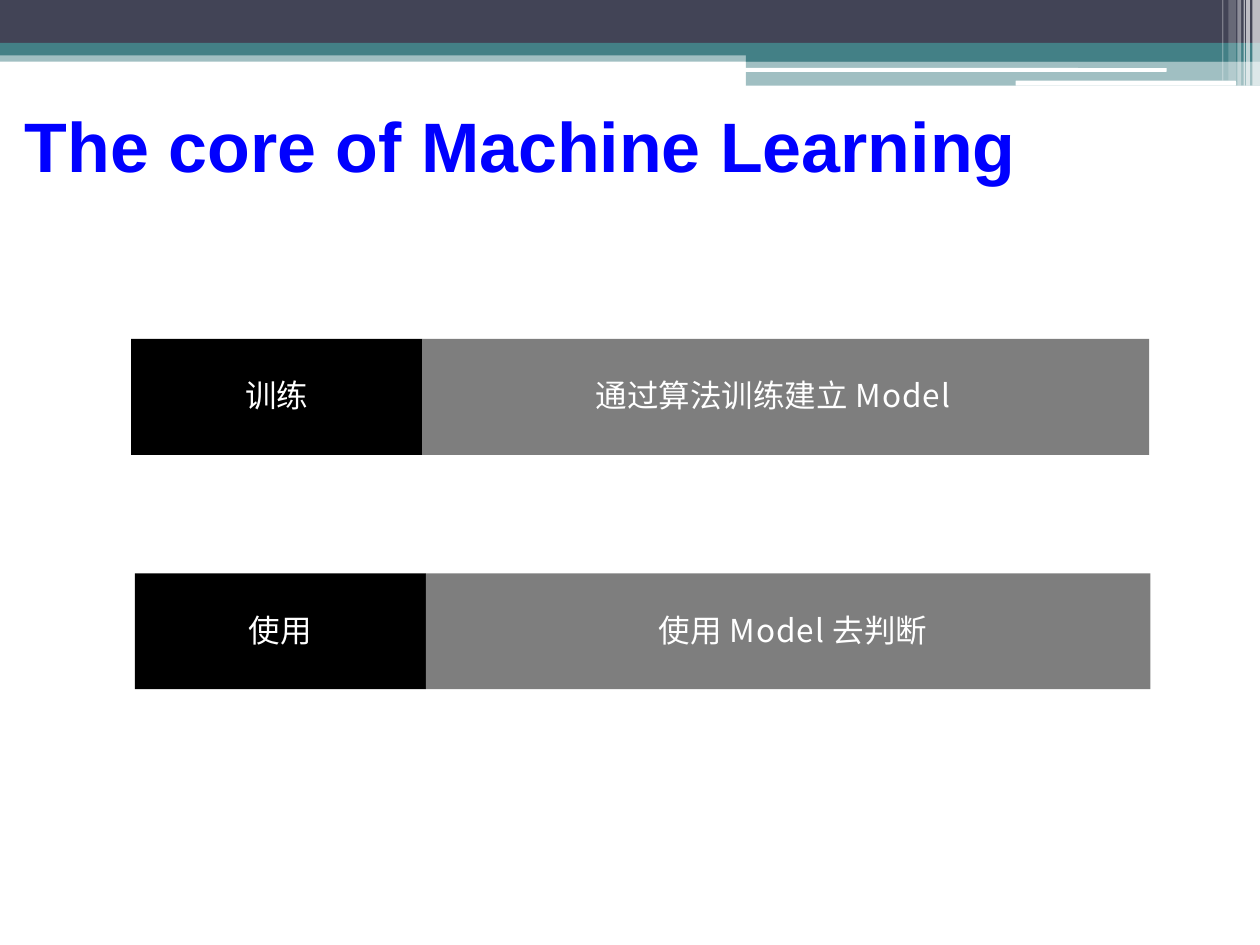
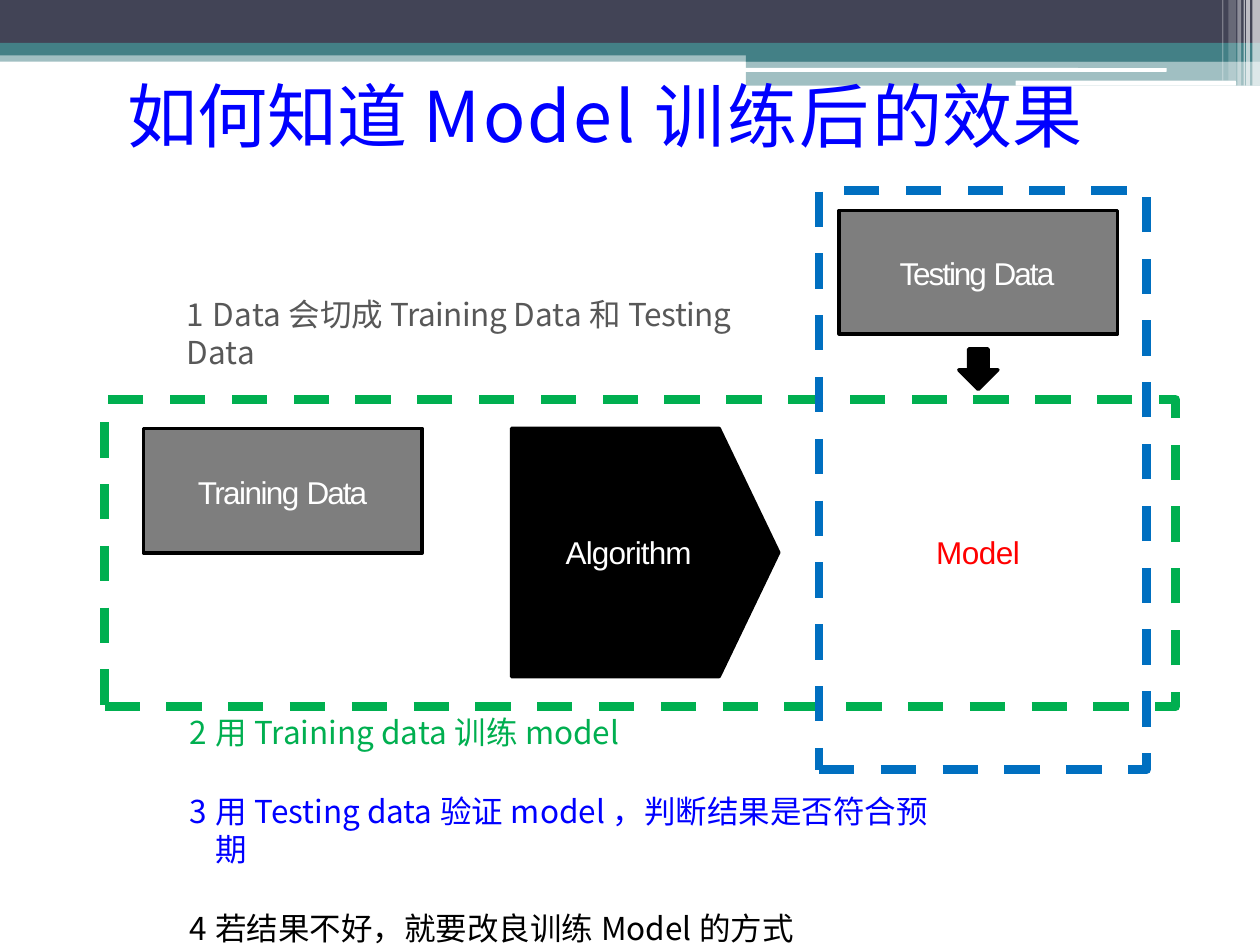
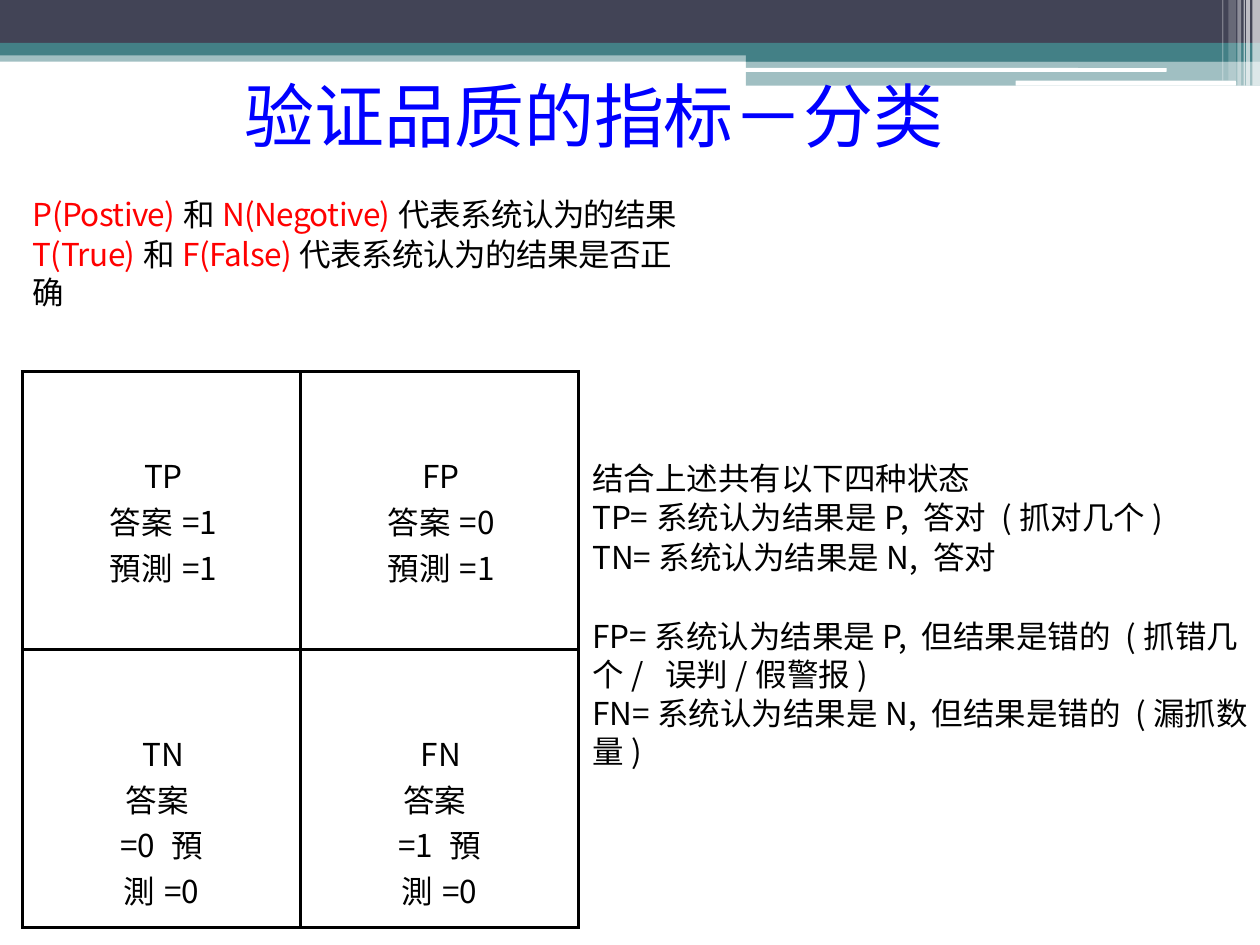
from dataclasses import dataclass, field
from typing import Any, NamedTuple

from lxml.etree import SubElement
from pptx import Presentation
from pptx.dml.color import RGBColor
from pptx.enum.dml import MSO_LINE
from pptx.enum.shapes import MSO_SHAPE
from pptx.enum.text import MSO_ANCHOR, PP_ALIGN
from pptx.oxml.ns import qn
from pptx.util import Emu, Pt


@dataclass(frozen=True)
class Theme:
    navy: str = "424456"
    teal: str = "438086"
    white: str = "FFFFFF"
    black: str = "000000"
    gray: str = "7E7E7E"
    dim: str = "585858"
    blue: str = "0000FF"
    red: str = "FF0000"
    green: str = "00AF50"
    azure: str = "006FC0"
    latin: str = "Arial"
    hans: str = "Noto Sans CJK SC"
    cjk: str = "Noto Sans CJK JP"
    head: float = 40
    body: float = 18
    lead: float = 21.6
    edge: float = 2.04
    dash: float = 5.04
    rule: float = 2.25


T = Theme()
PX = 9144  # 100 px to the inch


class Box(NamedTuple):
    x: int
    y: int
    w: int
    h: int

    def emu(self) -> list[Emu]:
        return [px(side) for side in self]


class Band(NamedTuple):
    box: Box
    color: str
    alpha: int = 100
    kind: Any = MSO_SHAPE.RECTANGLE


class Run(NamedTuple):
    text: str
    color: str = T.black
    gap: float = 0


@dataclass(frozen=True)
class Para:
    runs: list[Run]
    form: dict[str, Any] = field(default_factory=dict)
    props: dict[str, int] = field(default_factory=dict)
    tab: int = 0
    start: int = 0


@dataclass(frozen=True)
class Type:
    """Font, size and frame settings of one block of text."""
    font: str = T.cjk
    size: float = T.body
    bold: bool = False
    inset: tuple[int, int, int, int] = (1, 2, 0, 0)
    anchor: Any = MSO_ANCHOR.TOP


class Bar(NamedTuple):
    box: Box
    fill: str
    font: str
    runs: list[Run]
    left: int = 0


class Data(NamedTuple):
    box: Box
    runs: list[Run]
    left: int


BANDS = [
    Band(Box(0, 40, 1000, 9), T.teal, 50),
    Band(Box(0, 0, 1000, 34), T.navy),
    Band(Box(0, 34, 1000, 10), T.teal),
    Band(Box(592, 39, 408, 10), T.teal),
    Band(Box(592, 48, 408, 20), T.teal, 50),
    Band(Box(591, 54, 335, 3), T.white, kind=MSO_SHAPE.ROUNDED_RECTANGLE),
    Band(Box(806, 64, 175, 4), T.white, kind=MSO_SHAPE.ROUNDED_RECTANGLE),
] + [
    Band(Box(x, 0, w, h), T.white, alpha)
    for x, w, h, alpha in [
        (994, 6, 68, 65), (989, 3, 68, 65), (987, 1, 68, 60),
        (982, 3, 68, 40), (975, 6, 64, 20), (970, 1, 64, 30),
    ]
]
TITLE = Type(T.hans, T.head, inset=(1, 1, 0, 0), anchor=MSO_ANCHOR.MIDDLE)
LABEL = Type(T.latin)
CENTER = {"alignment": PP_ALIGN.CENTER}


def px(n: int) -> Emu:
    return Emu(n * PX)


def rgb(code: str) -> RGBColor:
    return RGBColor.from_string(code)


def apply(item: Any, values: dict[str, Any]) -> None:
    for name, value in values.items():
        setattr(item, name, value)


def lines(*rows: list[Run], gap: dict[int, float] | None = None, **more: Any) -> list[Para]:
    """Body paragraphs; gap gives the rows that need more space above."""
    return [
        Para(row, {"line_spacing": Pt(T.lead),
                   "space_before": Pt((gap or {}).get(i, 1 if i else 0))}, **more)
        for i, row in enumerate(rows)
    ]


def write(frame: Any, paras: list[Para], style: Type) -> None:
    for i, spec in enumerate(paras):
        para = frame.paragraphs[0] if i == 0 else frame.add_paragraph()
        apply(para, spec.form)
        props = para._p.get_or_add_pPr()
        for name, value in spec.props.items():
            props.set(name, str(px(value)))
        if spec.start:
            SubElement(props, qn("a:buAutoNum"), type="arabicPlain", startAt=str(spec.start))
        if spec.tab:
            tabs = SubElement(props, qn("a:tabLst"))
            SubElement(tabs, qn("a:tab"), pos=str(px(spec.tab)), algn="l")
        for part in spec.runs:
            run = para.add_run()
            run.text = part.text
            apply(run.font, {"name": style.font, "size": Pt(style.size), "bold": style.bold})
            run.font.color.rgb = rgb(part.color)
            mark = run.font._element
            SubElement(mark, qn("a:ea"), typeface=style.font)
            if part.gap:
                mark.set("spc", str(round(part.gap * 100)))


def fit(frame: Any, paras: list[Para], style: Type) -> None:
    left, top, right, bottom = map(px, style.inset)
    apply(frame, {"word_wrap": True, "vertical_anchor": style.anchor, "margin_left": left,
                  "margin_top": top, "margin_right": right, "margin_bottom": bottom})
    write(frame, paras, style)


def text(slide: Any, box: Box, paras: list[Para], style: Type = Type()) -> None:
    fit(slide.shapes.add_textbox(*box.emu()).text_frame, paras, style)


def block(slide: Any, box: Box, fill: str, kind: Any = MSO_SHAPE.RECTANGLE,
          edge: bool = False) -> Any:
    shape = slide.shapes.add_shape(kind, *box.emu())
    shape.shadow.inherit = False
    shape.fill.solid()
    shape.fill.fore_color.rgb = rgb(fill)
    if edge:
        shape.line.color.rgb = rgb(T.black)
        shape.line.width = Pt(T.edge)
    else:
        shape.line.fill.background()
    return shape


def dress(deck: Any, slide: Any) -> None:
    """Put the header bands on the slide master, by way of a slide."""
    root = deck.slide_master.shapes.element
    for band in BANDS:
        shape = block(slide, band.box, band.color, band.kind)
        if band.alpha < 100:
            color = next(shape.element.iter(qn("a:srgbClr")))
            SubElement(color, qn("a:alpha"), val=str(band.alpha * 1000))
        root.append(shape.element)


def loop(slide: Any, box: Box, color: str) -> None:
    """Dashed frame whose dashes start at the lower left corner."""
    x, y, w, h = box.emu()
    pen = slide.shapes.build_freeform(x, y + h)
    pen.add_line_segments([(x + w, y + h), (x + w, y), (x, y)], close=True)
    shape = pen.convert_to_shape()
    shape.shadow.inherit = False
    shape.fill.background()
    shape.line.color.rgb = rgb(color)
    apply(shape.line, {"width": Pt(T.dash), "dash_style": MSO_LINE.DASH})


def grid(slide: Any, box: Box, cells: list[list[list[Para]]]) -> None:
    rows, cols = len(cells), len(cells[0])
    table = slide.shapes.add_table(rows, cols, *box.emu()).table
    apply(table, {"first_row": False, "horz_banding": False})
    for r, row in enumerate(cells):
        for c, paras in enumerate(row):
            cell = table.cell(r, c)
            apply(cell, {"margin_left": 0, "margin_right": 0,
                         "margin_top": px(64), "margin_bottom": 0})
            props = cell._tc.get_or_add_tcPr()
            for side in ("lnL", "lnR", "lnT", "lnB"):
                line = SubElement(props, qn(f"a:{side}"), w=str(Pt(T.rule)))
                SubElement(SubElement(line, qn("a:solidFill")), qn("a:srgbClr"), val=T.black)
            cell.fill.background()
            write(cell.text_frame, paras, Type())


def core(slide: Any) -> None:
    text(slide, Box(10, 25, 990, 180), [Para([Run("The core of Machine Learning", T.blue)])],
         Type(T.latin, T.head, True, (10, 5, 10, 5), MSO_ANCHOR.MIDDLE))
    bars = [
        Bar(Box(104, 269, 231, 92), T.black, T.cjk, [Run("训练", T.white)]),
        Bar(Box(107, 455, 231, 92), T.black, T.cjk, [Run("使用", T.white)]),
        Bar(Box(335, 269, 577, 92), T.gray, T.hans,
            [Run("通过算法训练建立", T.white), Run("Model", T.white, 0.6)], 138),
        Bar(Box(338, 455, 575, 92), T.gray, T.hans,
            [Run("使用", T.white), Run("Model", T.white, 0.6), Run("去判断", T.white)], 185),
    ]
    for bar in bars:
        side = PP_ALIGN.LEFT if bar.left else PP_ALIGN.CENTER
        fit(block(slide, bar.box, bar.fill).text_frame,
            [Para(bar.runs, {"alignment": side})],
            Type(bar.font, inset=(bar.left, 0, 0, 3), anchor=MSO_ANCHOR.MIDDLE))


def effect(slide: Any) -> None:
    text(slide, Box(100, 56, 801, 69),
         [Para([Run("如何知道", T.blue), Run("Model训练后", T.blue, 1.5),
                Run("的效果", T.blue)])], TITLE)
    boxes = [
        Data(Box(114, 340, 221, 99),
             [Run("Training ", T.white, -0.9), Run("Data", T.white, -1.1)], 43),
        Data(Box(666, 167, 221, 98),
             [Run("Testing ", T.white, -1.2), Run("Data", T.white, -1.1)], 48),
    ]
    for item in boxes:
        fit(block(slide, item.box, T.gray, edge=True).text_frame,
            [Para(item.runs, {"alignment": PP_ALIGN.LEFT})],
            Type(T.latin, inset=(item.left, 1, 0, 0), anchor=MSO_ANCHOR.MIDDLE))
    step = block(slide, Box(406, 340, 212, 197), T.black, MSO_SHAPE.PENTAGON, True)
    step.adjustments[0] = 0.24
    text(slide, Box(448, 421, 438, 33),
         [Para([Run("Algorithm\t", T.white, -0.5), Run("Model", T.red, -0.3)], tab=294)], LABEL)
    block(slide, Box(761, 277, 31, 32), T.black, MSO_SHAPE.DOWN_ARROW, True)
    loop(slide, Box(83, 317, 850, 244), T.green)
    loop(slide, Box(650, 151, 260, 460), T.azure)
    split = [("1 ", 0.5), ("Data会", 0.1), ("切成", -0.1), ("Training ", -0.3),
             ("Data", 0.1), ("和", -0.1), ("Testing ", -0.3), ("Data", 0.1)]
    text(slide, Box(147, 232, 479, 33),
         lines([Run(part, T.dim, gap) for part, gap in split]))
    text(slide, Box(149, 564, 591, 161),
         lines([Run("用Training data训练model", T.green)],
               [Run("用Testing data验证model，判断结果是否符合预期", T.blue)],
               [Run("若结果不好，就要改良训练Model的方式")],
               gap={1: 23.6, 2: 23.6}, props={"marL": 22, "indent": -21}, tab=22, start=2),
         Type(inset=(0, 2, 0, 0)))


def rating(slide: Any) -> None:
    text(slide, Box(193, 56, 615, 69), [Para([Run("验证品质的指标－分类", T.blue)])], TITLE)
    terms = [("P(Postive)", "N(Negotive)", "代表系统认为的结果"),
             ("T(True)", "F(False)", "代表系统认为的结果是否正确")]
    text(slide, Box(25, 153, 520, 63),
         lines(*[[Run(one, T.red, -0.3), Run("和", gap=-0.3),
                  Run(two, T.red, -0.3), Run(rest, gap=-0.3)] for one, two, rest in terms]))
    top = [[Para([Run(row)], CENTER, {"marL": 3})
            for row in (name, f"答案={truth}", "預測=1")]
           for name, truth in (("TP", 1), ("FP", 0))]
    low = [[Para([Run(name, gap=0.4)], CENTER, {"marL": 3}),
            Para([Run(f"答案={truth} 預測=0")], CENTER, {"marL": 70, "marR": 70})]
           for name, truth in (("TN", 0), ("FN", 1))]
    grid(slide, Box(18, 295, 441, 441), [top, low])
    notes = ["结合上述共有以下四种状态",
             "TP=系统认为结果是P, 答对 (抓对几个)",
             "TN=系统认为结果是N, 答对",
             "FP=系统认为结果是P, 但结果是错的 (抓错几个/  误判/假警报)",
             "FN=系统认为结果是N, 但结果是错的 (漏抓数 量)"]
    text(slide, Box(469, 362, 522, 220),
         lines(*[[Run(note)] for note in notes], gap={3: 23.6}))


def main() -> None:
    deck = Presentation()
    apply(deck, {"slide_width": px(1000), "slide_height": px(750)})
    for i, draw in enumerate((core, effect, rating)):
        slide = deck.slides.add_slide(deck.slide_layouts[6])
        if i == 0:
            dress(deck, slide)
        draw(slide)
    deck.save("out.pptx")


if __name__ == "__main__":
    main()
